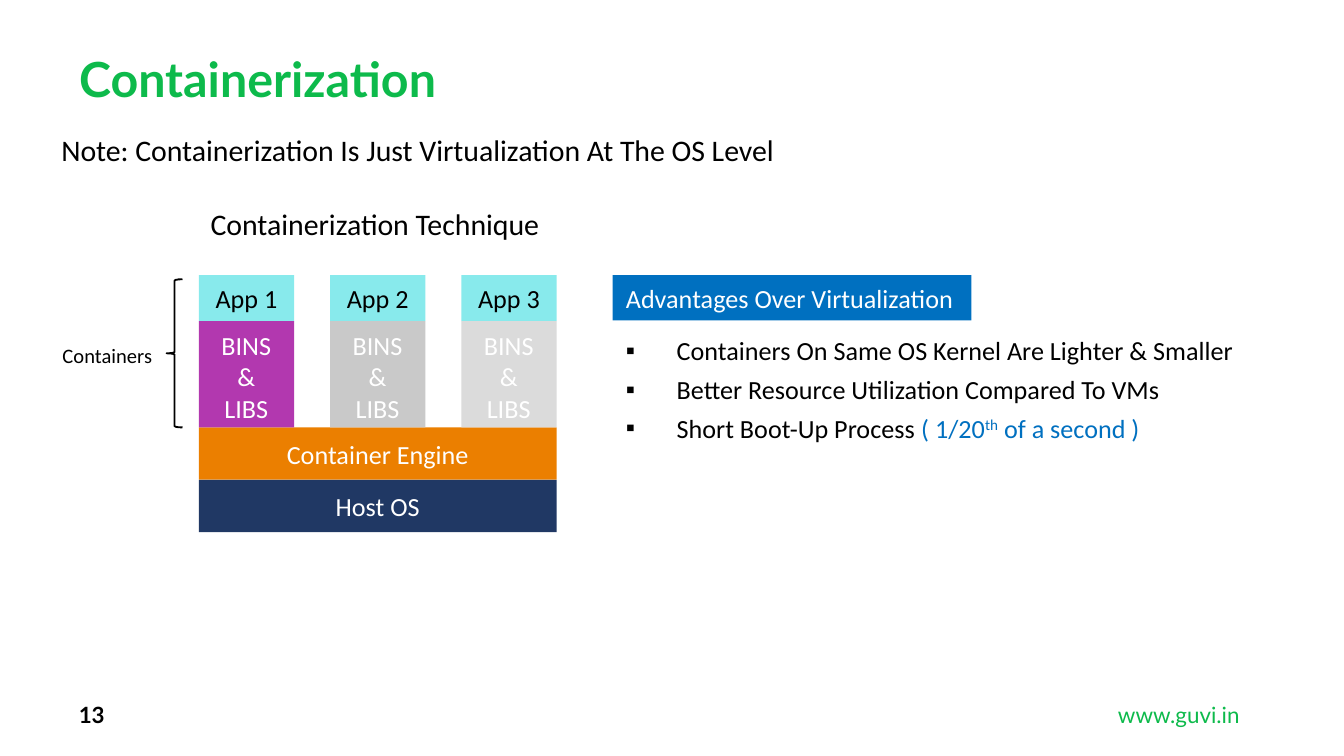
from lxml.etree import SubElement
from pptx import Presentation
from pptx.dml.color import RGBColor
from pptx.enum.shapes import MSO_SHAPE
from pptx.enum.text import MSO_ANCHOR, PP_ALIGN
from pptx.oxml.ns import qn
from pptx.util import Cm, Pt

GREEN = RGBColor(0x0D, 0xBA, 0x4B)
BLACK = RGBColor(0, 0, 0)
WHITE = RGBColor(0xFF, 0xFF, 0xFF)
BLUE = RGBColor(0x00, 0x70, 0xC0)
AQUA = RGBColor(0x88, 0xEA, 0xEC)
PURPLE = RGBColor(0xB2, 0x38, 0xAF)
GREY = RGBColor(0xC9, 0xC9, 0xC9)
LIGHT_GREY = RGBColor(0xDB, 0xDB, 0xDB)
ORANGE = RGBColor(0xEB, 0x7F, 0x00)
NAVY = RGBColor(0x20, 0x38, 0x64)

# Content
TITLE = "Containerization"
CONTAINERS = [("App 1", PURPLE), ("App 2", GREY), ("App 3", LIGHT_GREY)]
BINS = "BINS & LIBS"
LAYERS = [("Container Engine", ORANGE), ("Host OS", NAVY)]
ADVANTAGES = [  # runs of (text, colour, superscript)
    [("Containers On Same OS Kernel Are Lighter & Smaller", BLACK, False)],
    [("Better Resource Utilization Compared To VMs", BLACK, False)],
    [("Short Boot-Up Process ", BLACK, False), ("( 1/20", BLUE, False),
     ("th", BLUE, True), (" of a second )", BLUE, False)],
]
LABELS = [  # text, box in cm, wrap, paragraph format, font format
    ("Note: Containerization Is Just Virtualization At The OS Level",
     (0.91, 2.36, 14.05, 0.94), False, {}, {"size": Pt(16)}),
    ("Containerization Technique", (3.73, 3.76, 6.81, 0.94), False, {}, {"size": Pt(16)}),
    ("Containers", (0.91, 6.35, 2.24, 0.74), False,
     {"alignment": PP_ALIGN.CENTER}, {"size": Pt(11)}),
]
FOOTERS = [
    ("13", (1.24, 13.13, 5.72, 0.76), {}, {"bold": True}, BLACK),
    ("www.guvi.in", (15.09, 13.13, 8.59, 0.76), {"alignment": PP_ALIGN.RIGHT}, {}, GREEN),
]

# Stack measures in cm
STACK_LEFT, STACK_W = 3.76, 6.76
COL_W = 1.8
PITCH = (STACK_W - COL_W) / 2
APP_TOP, BINS_TOP, ENGINE_TOP = 5.2, 6.07, 8.08
LAYER_H = 0.99


def apply(obj, **values):
    for name, value in values.items():
        setattr(obj, name, value)


def add_run(p, text, color, **fmt):
    r = p.add_run()
    r.text = text
    apply(r.font, **{"name": "Calibri", "size": Pt(14), **fmt})
    r.font.color.rgb = color
    return r


def add_label(s, text, box, color=BLACK, wrap=True, para=None, font=None):
    tf = s.shapes.add_textbox(*map(Cm, box)).text_frame
    tf.word_wrap = wrap
    apply(tf.paragraphs[0], **(para or {}))
    add_run(tf.paragraphs[0], text, color, **(font or {}))
    return tf


def add_block(s, box, fill, text="", color=WHITE, align=PP_ALIGN.CENTER):
    sp = s.shapes.add_shape(MSO_SHAPE.RECTANGLE, *map(Cm, box))
    sp.shadow.inherit = False
    sp.fill.solid()
    sp.fill.fore_color.rgb = fill
    sp.line.fill.background()
    if text:
        apply(sp.text_frame, word_wrap=False, vertical_anchor=MSO_ANCHOR.MIDDLE)
        p = sp.text_frame.paragraphs[0]
        p.alignment = align
        add_run(p, text, color)


prs = Presentation()
apply(prs, slide_width=Cm(25.4), slide_height=Cm(14.29))
s = prs.slides.add_slide(prs.slide_layouts[5])

# Title
title = s.shapes.title
apply(title, left=Cm(1.24), top=Cm(1.02), width=Cm(20.12), height=Cm(1.22))
apply(title.text_frame, vertical_anchor=MSO_ANCHOR.TOP, word_wrap=True)
p = title.text_frame.paragraphs[0]
apply(p, alignment=PP_ALIGN.LEFT, line_spacing=0.8)
add_run(p, TITLE, GREEN, name="Lato", size=Pt(25.9), bold=True)

# Note, heading and brace label
for text, box, wrap, para, font in LABELS:
    add_label(s, text, box, wrap=wrap, para=para, font=font)

# Shared layers below the containers
for i, (text, fill) in enumerate(LAYERS):
    add_block(s, (STACK_LEFT, ENGINE_TOP + i * LAYER_H, STACK_W, LAYER_H), fill, text)

# Containers: app on top of its libraries
for i, (app, fill) in enumerate(CONTAINERS):
    left = STACK_LEFT + i * PITCH
    add_block(s, (left, APP_TOP, COL_W, BINS_TOP - APP_TOP), AQUA, app, BLACK)
    add_block(s, (left, BINS_TOP, COL_W, ENGINE_TOP - BINS_TOP), fill)
    tf = add_label(s, BINS, (left + 0.17, BINS_TOP + 0.03, 1.45, 2.06), WHITE,
                   para={"alignment": PP_ALIGN.CENTER})
    apply(tf, margin_left=Cm(0.2), margin_right=Cm(0.2))

# Brace
brace = s.shapes.add_shape(MSO_SHAPE.LEFT_BRACE, Cm(3.15), Cm(5.28), Cm(0.3), Cm(2.8))
brace.shadow.inherit = False
brace.fill.background()
brace.line.color.rgb = BLACK
brace.line.width = Pt(1)

# Advantages
add_block(s, (11.58, 5.2, 6.78, 0.86), BLUE, "Advantages Over Virtualization",
          align=PP_ALIGN.LEFT)
tf = s.shapes.add_textbox(Cm(11.58), Cm(6.2), Cm(12.75), Cm(2.34)).text_frame
tf.word_wrap = True
for i, runs in enumerate(ADVANTAGES):
    p = tf.add_paragraph() if i else tf.paragraphs[0]
    p.space_after = Pt(4)
    pPr = p._p.get_or_add_pPr()
    pPr.set("marL", str(Cm(0.96)))
    pPr.set("indent", str(-Cm(0.96)))
    SubElement(pPr, qn("a:buFont"), typeface="Arial")
    SubElement(pPr, qn("a:buChar"), char="▪")
    for text, color, superscript in runs:
        r = add_run(p, text, color)
        if superscript:
            r._r.get_or_add_rPr().set("baseline", "30000")

# Footer
for text, box, para, font, color in FOOTERS:
    tf = add_label(s, text, box, color, para=para,
                   font={"name": "Lato", "size": Pt(12), **font})
    tf.vertical_anchor = MSO_ANCHOR.MIDDLE

prs.save("out.pptx")
